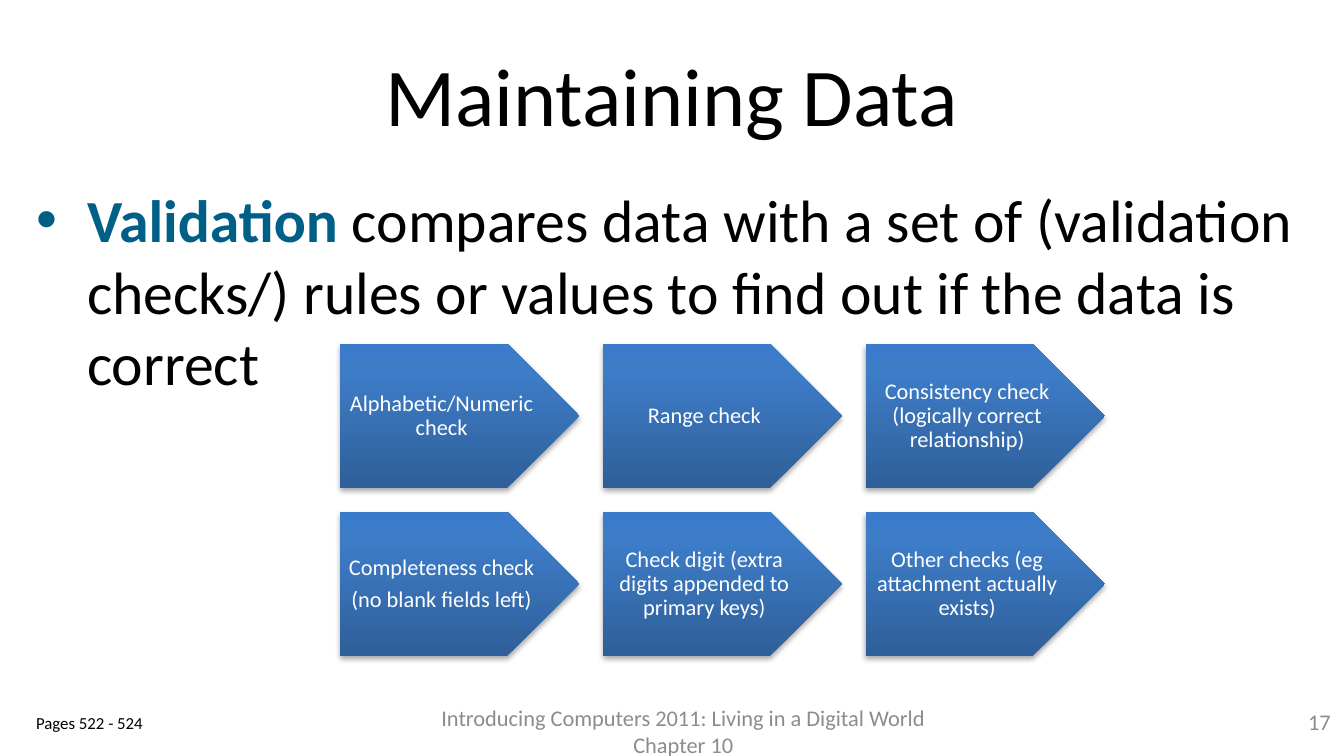
from pptx import Presentation
from pptx.dml.color import RGBColor
from pptx.enum.shapes import MSO_SHAPE as Shape
from pptx.enum.text import MSO_ANCHOR as Anchor, PP_ALIGN as Align
from pptx.oxml import parse_xml
from pptx.oxml.ns import nsdecls
from pptx.util import Inches, Pt

COLORS = {"black": "000000", "term": "005F86", "gray": "8C8C8C", "white": "FFFFFF",
          "deep": "2F5F99", "mid": "3D7CC7", "light": "3A7CCB"}
FONT = "Calibri"

TITLE = "Maintaining Data"
DEFINITION = [
    ("Validation", "term", True),
    (" compares data with a set of (validation checks/) rules or values "
     "to find out if the data is correct", "black", False),
]
FOOTER = "Introducing Computers 2011: Living in a Digital World Chapter 10"
PAGE_NUMBER = "17"
PAGES = "Pages 522 - 524"
CHECKS = [
    "Alphabetic/Numeric check",
    "Range check",
    "Consistency check (logically correct relationship)",
    "Completeness check\n(no blank fields left)",
    "Check digit (extra digits appended to primary keys)",
    "Other checks (eg attachment actually exists)",
]
COLUMNS = 3
GRID_LEFT, GRID_TOP, GRID_RIGHT = 2.53, 2.56, 8.22
ARROW_WIDTH, ARROW_HEIGHT = 1.78, 1.07
COLUMN_STEP = (GRID_RIGHT - GRID_LEFT - ARROW_WIDTH) / (COLUMNS - 1)
ROW_STEP = 1.25
HANGING = 0.38
GRADIENT = [(0, "deep"), (80, "mid"), (100, "light")]


def style_span(span, size, color, bold=False):
    span.font.name = FONT
    span.font.size = Pt(size)
    span.font.bold = bold
    span.font.color.rgb = RGBColor.from_string(COLORS[color])


def add_text(page, place, spans, size, align=Align.LEFT, anchor=Anchor.MIDDLE):
    box = page.shapes.add_textbox(*map(Inches, place))
    frame = box.text_frame
    frame.word_wrap = True
    frame.vertical_anchor = anchor
    para = frame.paragraphs[0]
    para.alignment = align
    for text, color, bold in spans:
        span = para.add_run()
        span.text = text
        style_span(span, size, color, bold)
    return para


def hang(para, size, bullet=None):
    para.space_before = Pt(size * 0.2)
    properties = para._p.get_or_add_pPr()
    properties.set("marL", str(Inches(HANGING)))
    properties.set("indent", str(-Inches(HANGING)))
    if bullet:
        properties.append(parse_xml(f'<a:buFont {nsdecls("a")} typeface="Arial"/>'))
        properties.append(parse_xml(f'<a:buChar {nsdecls("a")} char="{bullet}"/>'))


def shade(arrow):
    arrow.line.fill.background()
    stops = "".join(
        f'<a:gs pos="{position * 1000}"><a:srgbClr val="{COLORS[color]}"/></a:gs>'
        for position, color in GRADIENT)
    properties = arrow._element.spPr
    properties.insert(2, parse_xml(
        f'<a:gradFill {nsdecls("a")} rotWithShape="1"><a:gsLst>{stops}</a:gsLst>'
        '<a:lin ang="16200000" scaled="0"/></a:gradFill>'))
    properties.append(parse_xml(
        f'<a:effectLst {nsdecls("a")}><a:outerShdw blurRad="{Pt(3.1)}" dist="{Pt(1.8)}" '
        f'dir="5400000" rotWithShape="0"><a:srgbClr val="{COLORS["black"]}">'
        '<a:alpha val="35000"/></a:srgbClr></a:outerShdw></a:effectLst>'))


def add_check(page, index, text):
    row, column = divmod(index, COLUMNS)
    place = (GRID_LEFT + column * COLUMN_STEP, GRID_TOP + row * ROW_STEP,
             ARROW_WIDTH, ARROW_HEIGHT)
    arrow = page.shapes.add_shape(Shape.PENTAGON, *map(Inches, place))
    shade(arrow)
    frame = arrow.text_frame
    frame.word_wrap = True
    frame.vertical_anchor = Anchor.MIDDLE
    frame.margin_left = frame.margin_right = Inches(0.05)
    frame.margin_top = frame.margin_bottom = Inches(0.05)
    frame.text = text
    for para in frame.paragraphs:
        para.alignment = Align.CENTER
        para.line_spacing = 0.9
        para.space_after = Pt(4.2)
        style_span(para.runs[0], 12, "white")


def main():
    deck = Presentation()
    deck.slide_width = Inches(10)
    deck.slide_height = deck.slide_width * 9 // 16
    page = deck.slides.add_slide(deck.slide_layouts[6])

    add_text(page, (0.5, 0.23, 9, 0.94), [(TITLE, "black", False)], 44, Align.CENTER)
    definition = add_text(page, (0.17, 1.31, 9.67, 3.81), DEFINITION, 32, anchor=Anchor.TOP)
    hang(definition, 32, "•")
    add_text(page, (3, 5.25, 4.17, 0.38), [(FOOTER, "gray", False)], 12, Align.CENTER)
    add_text(page, (9.33, 5.12, 0.67, 0.5), [(PAGE_NUMBER, "gray", False)], 12, Align.RIGHT)
    pages = add_text(page, (0.17, 5.25, 1.83, 0.38), [(PAGES, "black", False)], 9,
                     anchor=Anchor.TOP)
    hang(pages, 9)

    for index, text in enumerate(CHECKS):
        add_check(page, index, text)

    deck.save("out.pptx")


if __name__ == "__main__":
    main()
